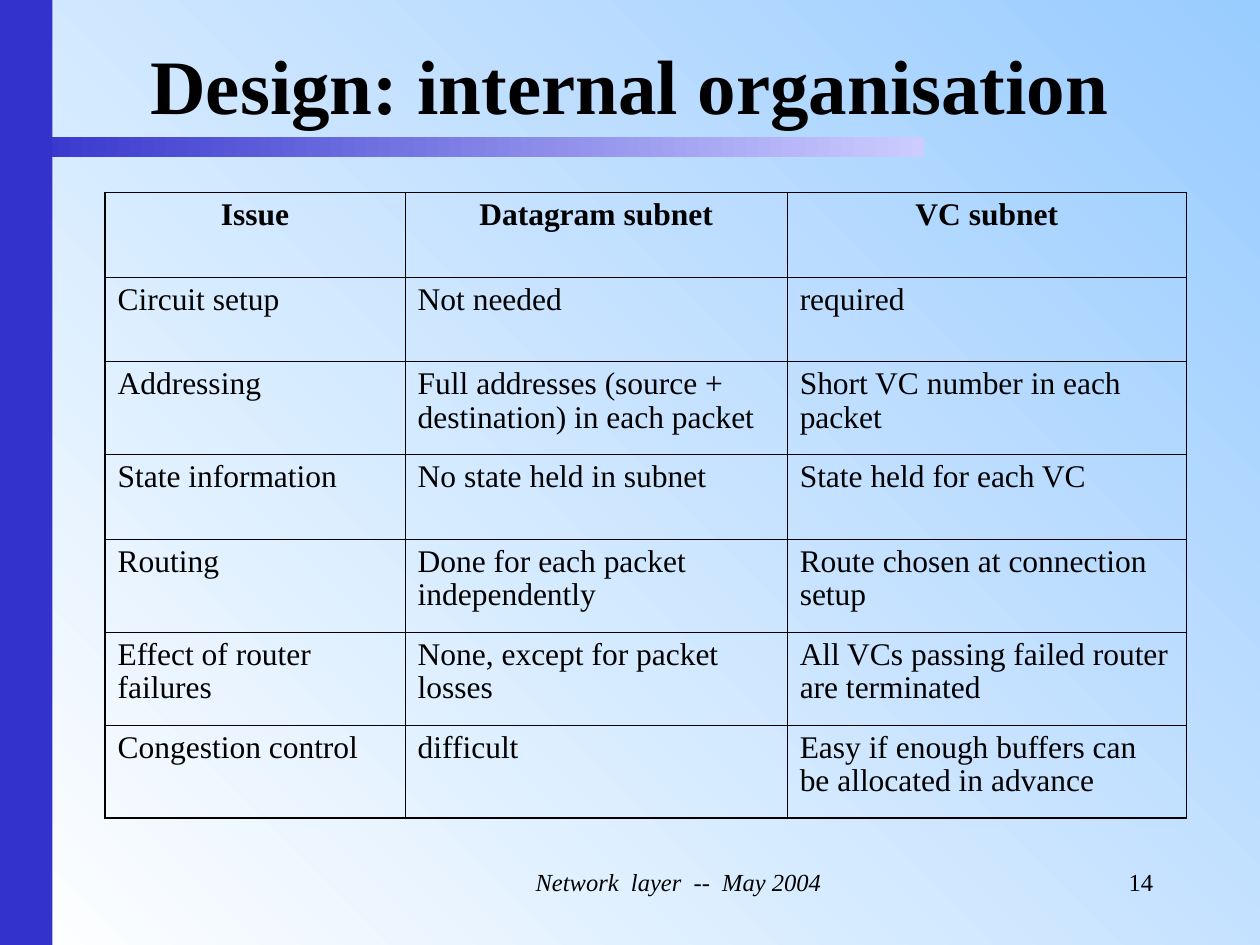
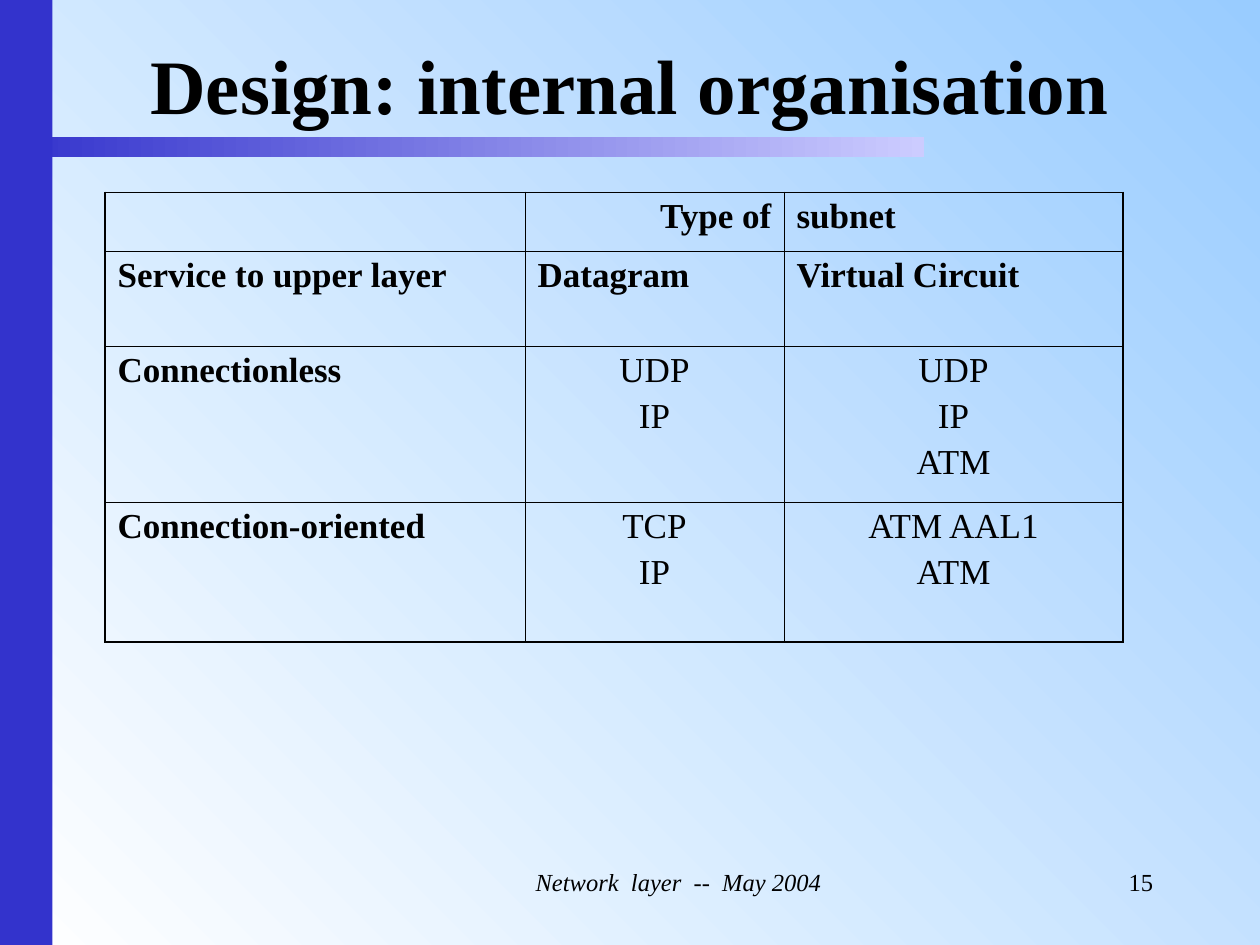
"""Build two slides comparing datagram and virtual circuit subnets."""
from lxml import etree
from pptx import Presentation
from pptx.dml.color import RGBColor
from pptx.enum.shapes import MSO_SHAPE
from pptx.enum.text import MSO_ANCHOR, PP_ALIGN
from pptx.oxml.ns import qn
from pptx.util import Pt

RECT = MSO_SHAPE.RECTANGLE
MIDDLE = MSO_ANCHOR.MIDDLE
LEFT, CENTER, RIGHT = PP_ALIGN.LEFT, PP_ALIGN.CENTER, PP_ALIGN.RIGHT
ALIGN = {"l": LEFT, "c": CENTER, "r": RIGHT}
FONT = "Times New Roman"
BLACK, WHITE, SKY = "000000", "FFFFFF", "99CCFF"
BLUE, LILAC = "3333CC", "CCCCFF"
OUTER, INNER = 1.08, 0.45
TITLE = "Design: internal organisation"
FOOTER = "Network  layer  --  May 2004"
FIRST_NUMBER = 14

ISSUES = [
    ["Issue", "Datagram subnet", "VC subnet"],
    ["Circuit setup", "Not needed", "required"],
    ["Addressing", "Full addresses (source + destination) in each packet",
     "Short VC number in each packet"],
    ["State information", "No state held in subnet", "State held for each VC"],
    ["Routing", "Done for each packet independently",
     "Route chosen at connection setup"],
    ["Effect of router failures", "None, except for packet losses",
     "All VCs passing failed router are terminated"],
    ["Congestion control", "difficult",
     "Easy if enough buffers can be allocated in advance"],
]
SERVICES = [
    ["", "Type of", "subnet"],
    ["Service to upper layer", "Datagram", "Virtual Circuit"],
    ["Connectionless", "UDP\nIP", "UDP\nIP\nATM"],
    ["Connection-oriented", "TCP\nIP", "ATM AAL1\nATM"],
]
SLIDES = [
    dict(cells=ISSUES, size=18, gap=4.5, widths=[171.5, 218.3, 228.2],
         heights=[48.3, 48.3, 53.2, 48.3, 53.2, 53.2, 53.2],
         aligns=["ccc"] + ["lll"] * 6, bold_rows=1, bold_column=False),
    dict(cells=SERVICES, size=20, gap=5, widths=[240, 148, 193.8],
         heights=[33.8, 54, 89.3, 79.9],
         aligns=["lrl", "lll", "lcc", "lcc"], bold_rows=2, bold_column=True),
]


def rgb(color):
    return RGBColor.from_string(color)


def style(tf, size, align, bold=False, italic=False, gap=0):
    for i, p in enumerate(tf.paragraphs):
        p.alignment = align
        if i:
            p.space_before = Pt(gap)
        for r in p.runs:
            r.font.name, r.font.size = FONT, Pt(size)
            r.font.bold, r.font.italic = bold, italic
            r.font.color.rgb = rgb(BLACK)


prs = Presentation()
prs.slide_width, prs.slide_height = Pt(720), Pt(540)
layout = prs.slide_layouts[5]

for number, data in enumerate(SLIDES, FIRST_NUMBER):
    s = prs.slides.add_slide(layout)
    bar = s.shapes.add_shape(RECT, Pt(6), Pt(78), Pt(522), Pt(12))
    band = s.shapes.add_shape(RECT, 0, 0, Pt(30), Pt(540))
    for sp in (bar, band):
        sp.shadow.inherit = False
        sp.line.fill.background()
    band.fill.solid()
    band.fill.fore_color.rgb = rgb(BLUE)
    for fill, colors, angle in ((s.background.fill, (WHITE, SKY), 45),
                                (bar.fill, (BLUE, LILAC), 0)):
        fill.gradient()
        fill.gradient_angle = angle
        for stop, color in zip(fill.gradient_stops, colors):
            stop.color.rgb = rgb(color)

    for text, left, width, align, italic in (
            (FOOTER, 229, 317.5, CENTER, True),
            (str(number), 564, 102, RIGHT, False)):
        tf = s.shapes.add_textbox(Pt(left), Pt(492), Pt(width), Pt(36)).text_frame
        tf.word_wrap = True
        tf.text = text
        style(tf, 14, align, italic=italic)

    title = s.shapes.title
    title.left, title.top, title.width, title.height = Pt(36), Pt(18), Pt(648), Pt(60)
    tf = title.text_frame
    tf.text = TITLE
    tf.vertical_anchor = MIDDLE
    style(tf, 44, CENTER, bold=True)

    widths, heights = data["widths"], data["heights"]
    table = s.shapes.add_table(len(heights), len(widths), Pt(60), Pt(110),
                               Pt(sum(widths)), Pt(sum(heights))).table
    table.first_row = table.horz_banding = False
    for column, width in zip(table.columns, widths):
        column.width = Pt(width)
    last_row, last_col = len(heights) - 1, len(widths) - 1
    for i, (row, height) in enumerate(zip(table.rows, heights)):
        row.height = Pt(height)
        for j, cell in enumerate(row.cells):
            cell.text = data["cells"][i][j]
            bold = i < data["bold_rows"] or (data["bold_column"] and j == 0)
            style(cell.text_frame, data["size"], ALIGN[data["aligns"][i][j]],
                  bold=bold, gap=data["gap"])
            for p in cell.text_frame.paragraphs:
                p.line_spacing = 0.96
            cell.margin_left = cell.margin_right = Pt(7.2)
            cell.margin_top = cell.margin_bottom = Pt(3.6)
            tc_pr = cell._tc.get_or_add_tcPr()
            for tag, outer in (("a:lnL", j == 0), ("a:lnR", j == last_col),
                               ("a:lnT", i == 0), ("a:lnB", i == last_row)):
                ln = etree.SubElement(tc_pr, qn(tag),
                                      w=str(Pt(OUTER if outer else INNER)))
                solid = etree.SubElement(ln, qn("a:solidFill"))
                etree.SubElement(solid, qn("a:srgbClr"), val=BLACK)
            cell.fill.background()

prs.save("out.pptx")
